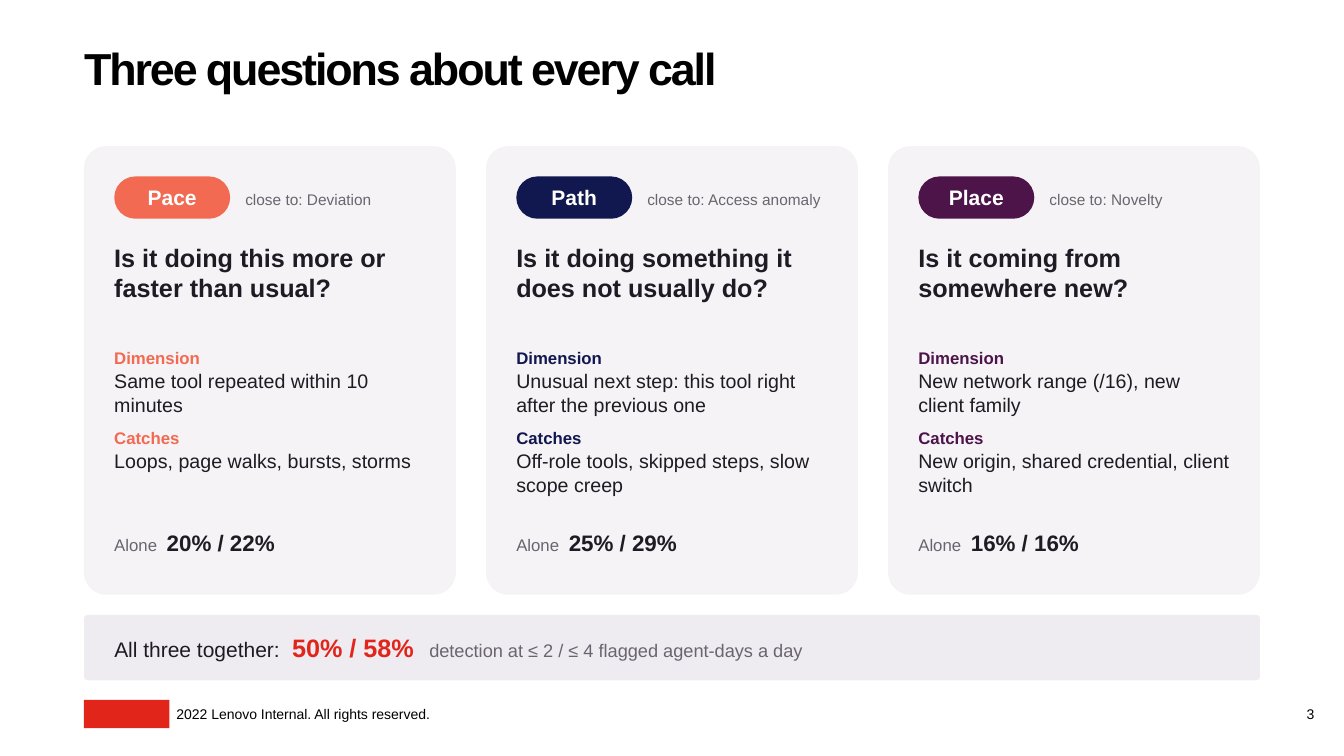
import pptx
import pptx.util
import pptx.dml.color
import pptx.enum.shapes
import pptx.enum.text
import pptx.oxml.ns
import lxml.etree

Pt = pptx.util.Pt
RGBColor = pptx.dml.color.RGBColor
MSO_SHAPE = pptx.enum.shapes.MSO_SHAPE
MSO_ANCHOR = pptx.enum.text.MSO_ANCHOR
PP_ALIGN = pptx.enum.text.PP_ALIGN

BLACK = RGBColor(0x00, 0x00, 0x00)
WHITE = RGBColor(0xFF, 0xFF, 0xFF)
INK = RGBColor(0x1E, 0x1B, 0x24)
GREY = RGBColor(0x6B, 0x64, 0x70)
RED = RGBColor(0xE1, 0x25, 0x1B)
CORAL = RGBColor(0xF2, 0x6A, 0x52)
NAVY = RGBColor(0x11, 0x18, 0x4F)
PLUM = RGBColor(0x4D, 0x14, 0x4A)
CARD_FILL = RGBColor(0xF5, 0xF3, 0xF5)
BAR_FILL = RGBColor(0xEF, 0xEC, 0xF1)

LEFT, CONTENT_WIDTH = 60, 840
GAP = PADDING = 21.6
CARD_TOP, CARD_HEIGHT = 104.4, 320.4

presentation = pptx.Presentation()
presentation.slide_width, presentation.slide_height = Pt(960), Pt(540)
slide = presentation.slides.add_slide(presentation.slide_layouts[5])


def add_block(kind, left, top, width, height, fill, radius=None):
    shape = slide.shapes.add_shape(kind, Pt(left), Pt(top), Pt(width), Pt(height))
    shape.shadow.inherit = False
    shape.fill.solid()
    shape.fill.fore_color.rgb = fill
    shape.line.fill.background()
    if radius is not None:
        shape.adjustments[0] = radius
    return shape


def write(shape, paragraphs, anchor=MSO_ANCHOR.TOP, align=PP_ALIGN.LEFT, tabs=()):
    """Each paragraph is (space after, runs); a run is (text, size, colour, bold)."""
    frame = shape.text_frame
    frame.word_wrap = True
    frame.vertical_anchor = anchor
    frame.margin_left = frame.margin_top = frame.margin_right = frame.margin_bottom = 0
    for index, (space_after, runs) in enumerate(paragraphs):
        paragraph = frame.add_paragraph() if index else frame.paragraphs[0]
        paragraph.alignment = align
        paragraph.space_after = Pt(space_after)
        if tabs:
            properties = paragraph._p.get_or_add_pPr()
            tab_list = lxml.etree.SubElement(properties, pptx.oxml.ns.qn("a:tabLst"))
            for position in tabs:
                lxml.etree.SubElement(tab_list, pptx.oxml.ns.qn("a:tab"),
                                      pos=str(Pt(position)), algn="l")
        for text, size, colour, bold in runs:
            run = paragraph.add_run()
            run.text = text
            run.font.name = "Arial"
            run.font.size = Pt(size)
            run.font.color.rgb = colour
            run.font.bold = bold


# Title
title = slide.shapes.title
title.left, title.top, title.width, title.height = Pt(LEFT), Pt(34.6), Pt(CONTENT_WIDTH), Pt(33)
write(title, [(0, [("Three questions about every call", 32, BLACK, True)])])
title.text_frame.auto_size = pptx.enum.text.MSO_AUTO_SIZE.NONE
title_paragraph = title.text_frame.paragraphs[0]
title_paragraph.line_spacing = 0.85
title_paragraph.runs[0].font._element.set("spc", "-150")

# Question cards
cards = [
    ("Pace", CORAL, "close to: Deviation", "Is it doing this more or faster than usual?",
     "Same tool repeated within 10 minutes", "Loops, page walks, bursts, storms", "20% / 22%"),
    ("Path", NAVY, "close to: Access anomaly", "Is it doing something it does not usually do?",
     "Unusual next step: this tool right after the previous one",
     "Off-role tools, skipped steps, slow scope creep", "25% / 29%"),
    ("Place", PLUM, "close to: Novelty", "Is it coming from somewhere new?",
     "New network range (/16), new client family",
     "New origin, shared credential, client switch", "16% / 16%"),
]
card_width = (CONTENT_WIDTH - GAP * (len(cards) - 1)) / len(cards)
text_width = card_width - 2 * PADDING

for index, (name, accent, relation, question, dimension, catches, alone) in enumerate(cards):
    card_left = LEFT + index * (card_width + GAP)
    text_left = card_left + PADDING
    add_block(MSO_SHAPE.ROUNDED_RECTANGLE, card_left, CARD_TOP, card_width, CARD_HEIGHT,
              CARD_FILL, 0.06)

    pill = add_block(MSO_SHAPE.ROUNDED_RECTANGLE, text_left, CARD_TOP + PADDING, 82.8, 30.24,
                     accent, 0.5)
    write(pill, [(0, [(name, 15, WHITE, True)])], MSO_ANCHOR.MIDDLE, PP_ALIGN.CENTER)

    relation_box = slide.shapes.add_textbox(Pt(text_left + 93.6), Pt(128.2), Pt(139.7), Pt(28.8))
    write(relation_box, [(4, [(relation, 11, GREY, False)])], MSO_ANCHOR.MIDDLE)

    question_box = slide.shapes.add_textbox(Pt(text_left), Pt(172.8), Pt(text_width), Pt(72))
    write(question_box, [(4, [(question, 18, INK, True)])])

    detail_box = slide.shapes.add_textbox(Pt(text_left), Pt(248.4), Pt(text_width), Pt(115.2))
    write(detail_box, [
        (1, [("Dimension", 12, accent, True)]),
        (8, [(dimension, 14, INK, False)]),
        (1, [("Catches", 12, accent, True)]),
        (4, [(catches, 14, INK, False)]),
    ])

    alone_box = slide.shapes.add_textbox(Pt(text_left), Pt(378), Pt(text_width), Pt(32.4))
    write(alone_box, [(4, [("Alone\t", 12, GREY, False), (alone, 16, INK, True)])], tabs=[37.5])

# Combined result bar
add_block(MSO_SHAPE.ROUNDED_RECTANGLE, LEFT, 439.2, CONTENT_WIDTH, 46.8, BAR_FILL, 0.06)
result_box = slide.shapes.add_textbox(Pt(LEFT + PADDING), Pt(439.2),
                                      Pt(CONTENT_WIDTH - 2 * PADDING), Pt(46.8))
write(result_box, [(4, [
    ("All three together:\t", 15, INK, False),
    ("50% / 58%\t", 18, RED, True),
    ("detection at ≤ 2 / ≤ 4 flagged agent-days a day", 13, GREY, False),
])], MSO_ANCHOR.MIDDLE, tabs=[127, 225])

# Footer
add_block(MSO_SHAPE.RECTANGLE, LEFT, 499.9, 61, 20.3, RED)
copyright_box = slide.shapes.add_textbox(Pt(126), Pt(504), Pt(324), Pt(12.2))
write(copyright_box, [(0, [("2022 Lenovo Internal. All rights reserved.", 10, BLACK, False)])])
number_box = slide.shapes.add_textbox(Pt(918.7), Pt(504), Pt(34.6), Pt(12.2))
write(number_box, [(0, [("3", 10, BLACK, False)])], MSO_ANCHOR.MIDDLE, PP_ALIGN.CENTER)

presentation.save("out.pptx")
